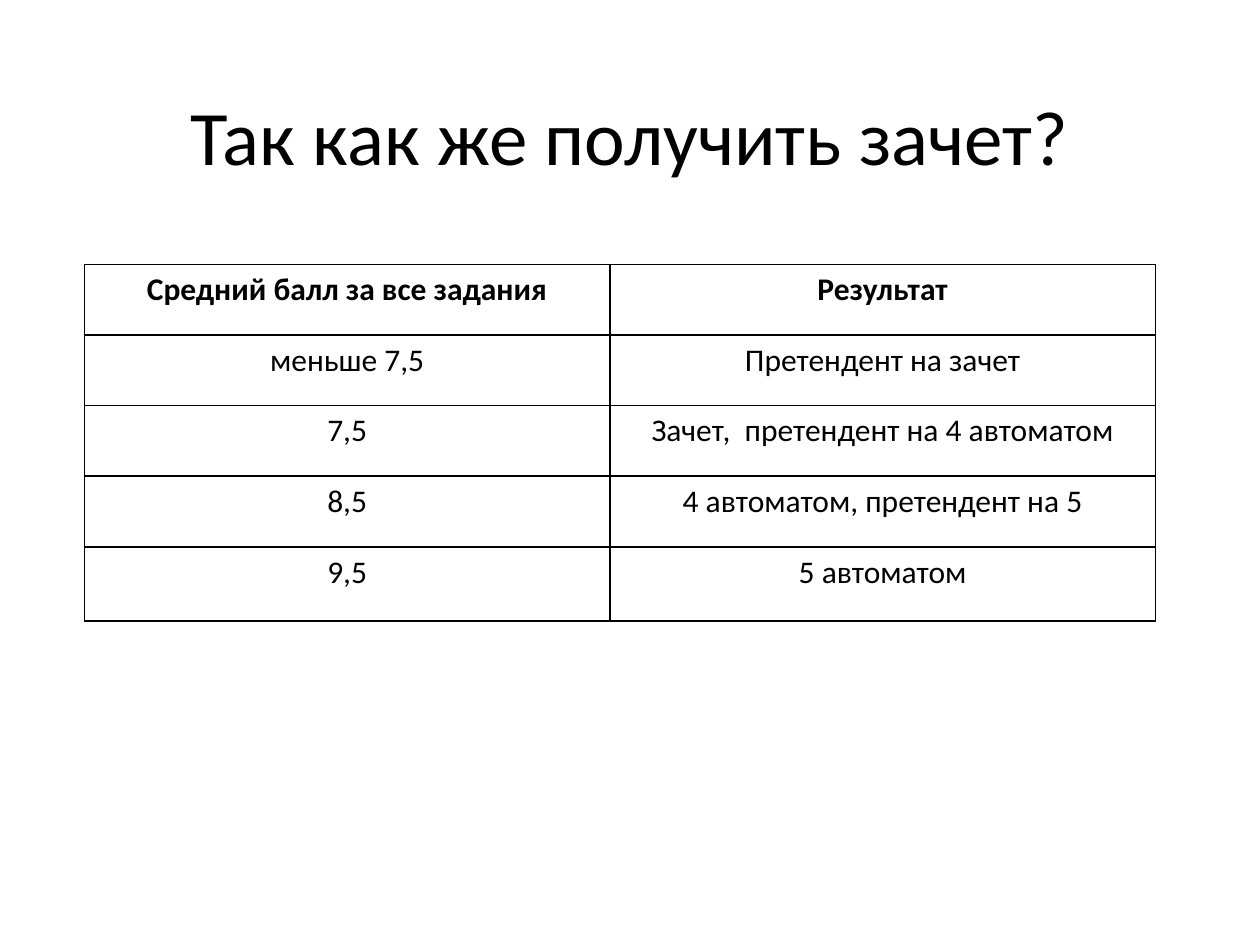
from typing import NamedTuple

from lxml import etree
from pptx import Presentation
from pptx.dml.color import RGBColor
from pptx.enum import text
from pptx.oxml import ns
from pptx.util import Inches, Pt

BLACK = RGBColor(0, 0, 0)
FONT = "Calibri"


class Grade(NamedTuple):
    score: str
    result: str


HEAD = Grade("Средний балл за все задания", "Результат")
GRADES = [
    Grade("меньше 7,5", "Претендент на зачет"),
    Grade("7,5", "Зачет,  претендент на 4 автоматом"),
    Grade("8,5", "4 автоматом, претендент на 5"),
    Grade("9,5", "5 автоматом"),
]
COLS = [4.17, 4.33]
ROWS = [0.56] * len(GRADES) + [0.59]


def write(frame, words: str, size: int, bold: bool = False) -> None:
    """Put one centred run into a text frame."""
    para = frame.paragraphs[0]
    para.alignment = text.PP_ALIGN.CENTER
    run = para.add_run()
    run.text = words
    font = run.font
    font.name, font.size, font.bold = FONT, Pt(size), bold
    font.color.rgb = BLACK


def border(cell) -> None:
    """Draw a thin black line on all four sides of a cell."""
    props = cell._tc.get_or_add_tcPr()
    for side in ("lnL", "lnR", "lnT", "lnB"):
        line = etree.SubElement(props, ns.qn(f"a:{side}"), w=str(Pt(1)))
        fill = etree.SubElement(line, ns.qn("a:solidFill"))
        etree.SubElement(fill, ns.qn("a:srgbClr"), val=str(BLACK))


def add_title(slide, words: str) -> None:
    box = slide.shapes.add_textbox(
        Inches(0.75), Inches(0.52), Inches(8.5), Inches(1.1))
    frame = box.text_frame
    frame.word_wrap = True
    frame.vertical_anchor = text.MSO_ANCHOR.MIDDLE
    write(frame, words, 44)


def add_grades(slide, grades: list[Grade]) -> None:
    table = slide.shapes.add_table(
        len(grades), len(COLS), Inches(0.67), Inches(2.1),
        Inches(sum(COLS)), Inches(sum(ROWS))).table
    table.first_row = table.horz_banding = False
    for col, width in zip(table.columns, COLS):
        col.width = Inches(width)
    for i, (row, height) in enumerate(zip(table.rows, ROWS)):
        row.height = Inches(height)
        for cell, words in zip(row.cells, grades[i]):
            write(cell.text_frame, words, 18, bold=i == 0)
            border(cell)
            cell.fill.background()


def main() -> None:
    deck = Presentation()
    deck.slide_width, deck.slide_height = Inches(10), Inches(7.5)
    slide = deck.slides.add_slide(deck.slide_layouts[6])

    # Title
    add_title(slide, "Так как же получить зачет?")

    # Table of scores and results
    add_grades(slide, [HEAD, *GRADES])

    deck.save("out.pptx")


if __name__ == "__main__":
    main()
